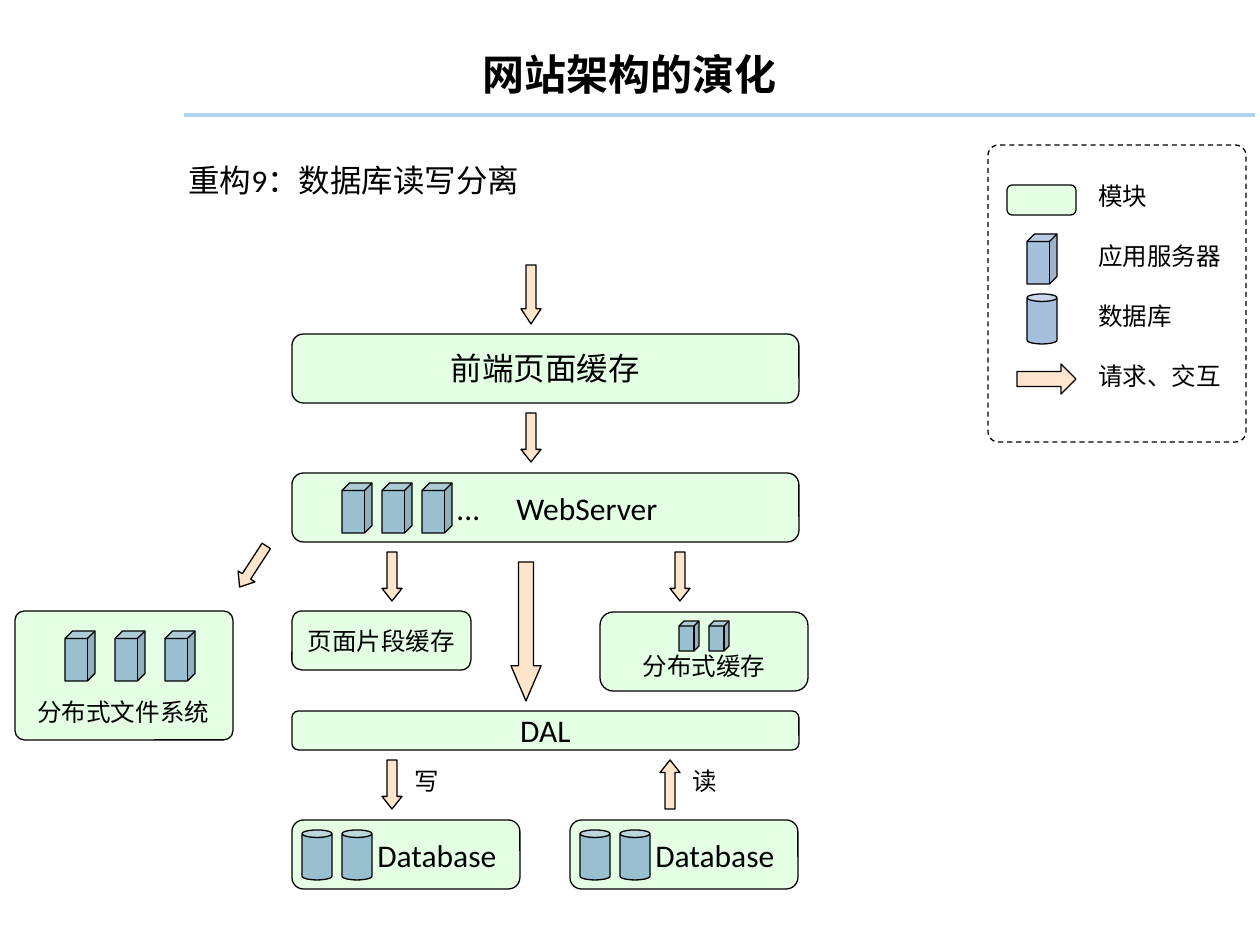
from lxml import etree
from pptx import Presentation
from pptx import util as u
from pptx.dml.color import RGBColor
from pptx.enum import dml, shapes, text
from pptx.oxml.ns import qn

PX = 914400 / 126
BLACK = RGBColor(0x00, 0x00, 0x00)
GREEN = RGBColor(0xCC, 0xFF, 0xCC)
BLUE = RGBColor(0x4F, 0x81, 0xBD)
ORANGE = RGBColor(0xFF, 0xCC, 0x99)
RULE = RGBColor(0xB1, 0xD5, 0xEF)

KIND = shapes.MSO_SHAPE
ICON_W, ICON_H = 30, 50


def px(*lengths):
    return [u.Emu(round(length * PX)) for length in lengths]


def set_values(target, values):
    for name, value in values.items():
        setattr(target, name, value)


def write(frame, words, size, align, font="Calibri", bold=False):
    paragraph = frame.paragraphs[0]
    paragraph.text = words
    paragraph.alignment = align
    set_values(paragraph.font, {"size": u.Pt(size), "name": font, "bold": bold})
    paragraph.font.color.rgb = BLACK


def add_part(slide, kind, box, color, adjust=(), rotation=0):
    """Half-transparent preset shape with a thin black outline."""
    shape = slide.shapes.add_shape(kind, *px(*box))
    shape.shadow.inherit = False
    shape.rotation = rotation
    for index, value in enumerate(adjust):
        shape.adjustments[index] = value
    shape.line.color.rgb = BLACK
    shape.line.width = u.Pt(0.75)
    if color is None:
        shape.fill.background()
    else:
        shape.fill.solid()
        shape.fill.fore_color.rgb = color
        rgb = shape.fill._xPr.find(qn("a:solidFill"))[0]
        etree.SubElement(rgb, qn("a:alpha"), val="50000")
    return shape


def add_module(slide, box, words="", size=18, icon_space=0, corner=0.167):
    shape = add_part(slide, KIND.ROUNDED_RECTANGLE, box, GREEN, [corner])
    if words:
        frame = shape.text_frame
        set_values(frame, {"word_wrap": False,
                           "vertical_anchor": text.MSO_ANCHOR.MIDDLE,
                           "margin_top": px(6 + icon_space)[0]})
        write(frame, words, size, text.PP_ALIGN.CENTER)


def add_icons(slide, kind, left, top, count=1, step=40, width=ICON_W, height=ICON_H):
    for index in range(count):
        add_part(slide, kind, (left + index * step, top, width, height), BLUE, [0.25])


def add_down_arrow(slide, left, top, width=20, height=49, head=0.63, rotation=0):
    add_part(slide, KIND.DOWN_ARROW, (left, top, width, height), ORANGE,
             [0.5, head], rotation)


def add_label(slide, left, top, width, words, size=14, font="Calibri", tab=None):
    height = 50 if size == 18 else 43
    frame = slide.shapes.add_textbox(*px(left, top, width, height)).text_frame
    set_values(frame, {"word_wrap": tab is not None,
                       "auto_size": text.MSO_AUTO_SIZE.SHAPE_TO_FIT_TEXT})
    if tab is not None:
        properties = frame.paragraphs[0]._p.get_or_add_pPr()
        stops = etree.SubElement(properties, qn("a:tabLst"))
        etree.SubElement(stops, qn("a:tab"), pos=str(px(tab)[0]), algn="l")
    write(frame, words, size, text.PP_ALIGN.LEFT, font)


def add_heading(slide):
    title = slide.shapes.title
    set_values(title, dict(zip(("left", "top", "width", "height"), px(63, 32, 1134, 83))))
    title.text_frame.vertical_anchor = text.MSO_ANCHOR.MIDDLE
    write(title.text_frame, "网站架构的演化", 24, text.PP_ALIGN.CENTER, bold=True)
    rule = slide.shapes.add_connector(shapes.MSO_CONNECTOR.STRAIGHT,
                                      *px(184, 115, 1255, 115))
    rule.line.color.rgb = RULE
    rule.line.width = u.Pt(2)
    etree.SubElement(rule._element.spPr, qn("a:effectLst"))
    add_label(slide, 176, 155, 375, "重构9：数据库读写分离", 18)


def add_legend(slide, left, top, width, height):
    frame = add_part(slide, KIND.ROUNDED_RECTANGLE, (left, top, width, height),
                     None, [0.04])
    frame.line.dash_style = dml.MSO_LINE.DASH
    add_module(slide, (left + 19, top + 40, 69, 30))
    add_icons(slide, KIND.CUBE, left + 39, top + 89)
    add_icons(slide, KIND.CAN, left + 39, top + 149)
    add_part(slide, KIND.RIGHT_ARROW, (left + 29, top + 219, 59, 30), ORANGE)
    entries = [("模块", "Calibri"), ("应用服务器", "Calibri"),
               ("数据库", "Calibri"), ("请求、交互", "Arial")]
    for row, (words, font) in enumerate(entries):
        # Room for each full-width character plus both insets
        label_width = 25 * len(words) + 26
        add_label(slide, left + 98, top + 30 + row * 60, label_width, words, font=font)


def add_web_server(slide, left, top, width, height):
    add_module(slide, (left, top, width, height))
    add_icons(slide, KIND.CUBE, left + 50, top + 10, 3)
    add_label(slide, left + 152, top + 10, 246, "...\tWebServer", 18, tab=60)


def add_file_system(slide, left, top, width, height):
    add_module(slide, (left, top, width, height), corner=0.072)
    add_icons(slide, KIND.CUBE, left + 50, top + 20, 3, 50)
    add_label(slide, left + 10, top + 80, 201, "分布式文件系统")


def add_shared_cache(slide, left, top, width, height):
    add_module(slide, (left, top, width, height), "分布式缓存", 14, icon_space=29)
    add_icons(slide, KIND.CUBE, left + 79, top + 9, 2, 30, 20, 30)


def add_database(slide, left, top, width, height):
    add_module(slide, (left, top, width, height))
    add_icons(slide, KIND.CAN, left + 10, top + 10, 2)
    add_label(slide, left + 73, top + 10, 164, "Database", 18)


def add_architecture(slide, left, top, width):
    # Front cache and web servers
    add_down_arrow(slide, left + 229, top, height=59, head=0.755)
    add_module(slide, (left, top + 69, width, 69), "前端页面缓存")
    add_down_arrow(slide, left + 229, top + 148)
    add_web_server(slide, left, top + 208, width, 69)

    # Services behind the web servers
    add_down_arrow(slide, left - 49, top + 277, rotation=33)
    add_file_system(slide, left - 277, top + 346, 218, 129)
    add_down_arrow(slide, left + 90, top + 287)
    add_module(slide, (left, top + 346, 179, 59), "页面片段缓存", 14)
    add_down_arrow(slide, left + 378, top + 287)
    add_shared_cache(slide, left + 308, top + 347, 208, 79)
    add_down_arrow(slide, left + 219, top + 297, 30, 139, 1.17)

    # Data access layer with its write and read databases
    add_module(slide, (left, top + 446, width, 39), "DAL")
    add_down_arrow(slide, left + 90, top + 495)
    add_down_arrow(slide, left + 368, top + 495, rotation=180)
    for offset, words in ((0, "写"), (278, "读")):
        add_label(slide, left + 110 + offset, top + 495, 51, words)
        add_database(slide, left + offset, top + 555, 228, 69)


def main():
    presentation = Presentation()
    presentation.slide_width, presentation.slide_height = px(1260, 945)
    slide = presentation.slides.add_slide(presentation.slide_layouts[5])
    add_heading(slide)
    add_legend(slide, 988, 145, 258, 297)
    add_architecture(slide, 292, 265, 507)
    presentation.save("out.pptx")


if __name__ == "__main__":
    main()
